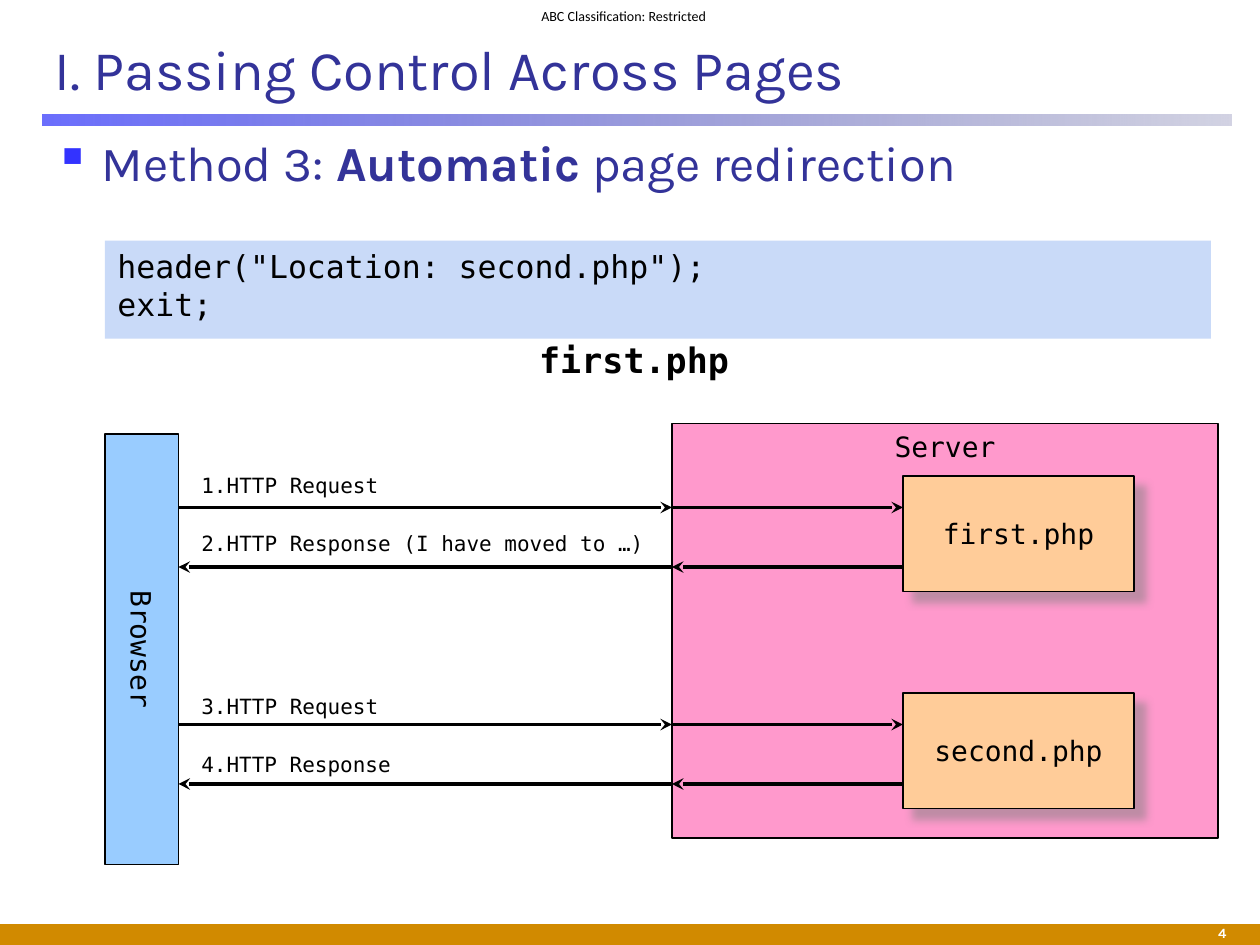
from typing import NamedTuple

from lxml import etree
from pptx import Presentation
from pptx.dml.color import RGBColor
from pptx.enum import shapes, text
from pptx.oxml import ns
from pptx.util import Pt

BLACK = RGBColor(0x00, 0x00, 0x00)
WHITE = RGBColor(0xFF, 0xFF, 0xFF)
NAVY = RGBColor(0x33, 0x33, 0x99)
OCHRE = RGBColor(0xD1, 0x8A, 0x00)
PINK = RGBColor(0xFF, 0x99, 0xCC)
PEACH = RGBColor(0xFF, 0xCC, 0x99)
SKY = RGBColor(0x99, 0xCC, 0xFF)
CODE_BLUE = RGBColor(0xC9, 0xDA, 0xF8)
RULE_START = RGBColor(0x46, 0x4A, 0xFC)
RULE_END = RGBColor(0x20, 0x22, 0x75)
BULLET_COLOR = "3333FF"

MONO, SANS, CALIBRI = "DejaVu Sans Mono", "Karla", "Calibri"
LEFT, CENTER, RIGHT = text.PP_ALIGN.LEFT, text.PP_ALIGN.CENTER, text.PP_ALIGN.RIGHT
TOP, MIDDLE, BOTTOM = text.MSO_ANCHOR.TOP, text.MSO_ANCHOR.MIDDLE, text.MSO_ANCHOR.BOTTOM
BROWSER_X, SERVER_X, PAGE_X = 102, 384, 516


class Box(NamedTuple):
    x: float
    y: float
    w: float
    h: float


class Style(NamedTuple):
    font: str
    size: float
    color: RGBColor = BLACK
    bold: bool = False
    align: text.PP_ALIGN = LEFT
    anchor: text.MSO_ANCHOR = TOP


class Message(NamedTuple):
    label: str
    label_y: float
    label_w: float
    line_y: float
    arrow_end: str


class Page(NamedTuple):
    name: str
    y: float


LABEL = Style(MONO, 12)
NODE = Style(MONO, 16, align=CENTER, anchor=MIDDLE)

MESSAGES = [
    Message("1.HTTP Request", 266.5, 120, 290, "tailEnd"),
    Message("2.HTTP Response (I have moved to …)", 299.5, 270, 324, "headEnd"),
    Message("3.HTTP Request", 392.5, 120, 414, "tailEnd"),
    Message("4.HTTP Response", 426, 144, 448, "headEnd"),
]
PAGES = [Page("first.php", 272), Page("second.php", 396)]


def child(parent, tag: str, **attrs):
    return etree.SubElement(parent, ns.qn(tag), attrs)


def write(tf, content: str, style: Style) -> None:
    tf.word_wrap = True
    tf.vertical_anchor = style.anchor
    tf.text = content
    for p in tf.paragraphs:
        p.alignment = style.align
        for r in p.runs:
            r.font.name = style.font
            r.font.size = Pt(style.size)
            r.font.bold = style.bold
            r.font.color.rgb = style.color


def add_text(s, box: Box, content: str, style: Style):
    tf = s.shapes.add_textbox(*map(Pt, box)).text_frame
    write(tf, content, style)
    return tf


def add_rect(s, box: Box, fill: RGBColor, outlined: bool = False):
    sp = s.shapes.add_shape(shapes.MSO_SHAPE.RECTANGLE, *map(Pt, box))
    sp.shadow.inherit = False
    sp.fill.solid()
    sp.fill.fore_color.rgb = fill
    if outlined:
        sp.line.color.rgb = BLACK
        sp.line.width = Pt(1)
    else:
        sp.line.fill.background()
    return sp


def add_node(s, box: Box, fill: RGBColor, name: str, style: Style = NODE):
    sp = add_rect(s, box, fill, outlined=True)
    write(sp.text_frame, name, style)
    return sp


def drop_shadow(sp) -> None:
    effects = sp._element.spPr.find(ns.qn("a:effectLst"))
    shadow = child(effects, "a:outerShdw", blurRad=str(Pt(5)), dist=str(Pt(8.5)),
                   dir=str(45 * 60000), algn="ctr", rotWithShape="0")
    child(child(shadow, "a:srgbClr", val="808080"), "a:alpha", val="50000")


def add_title_rule(s) -> None:
    """Bar under the title, fading from left to right."""
    sp = add_rect(s, Box(24.5, 65.5, 679, 6.5), RULE_START)
    sp.fill.gradient()
    sp.fill.gradient_angle = 0
    for stop, color in zip(sp.fill.gradient_stops, (RULE_START, RULE_END)):
        stop.color.rgb = color
    for clr, alpha in zip(sp._element.spPr.iter(ns.qn("a:srgbClr")), ("80000", "20000")):
        child(clr, "a:alpha", val=alpha)


def add_arrow(s, x1: float, x2: float, y: float, arrow_end: str) -> None:
    c = s.shapes.add_connector(shapes.MSO_CONNECTOR.STRAIGHT, Pt(x1), Pt(y), Pt(x2), Pt(y))
    c.line.color.rgb = BLACK
    c.line.width = Pt(2.25)
    child(c.line._get_or_add_ln(), f"a:{arrow_end}", type="stealth")
    child(c._element.spPr, "a:effectLst")


def add_bullet_line(s) -> None:
    tf = add_text(s, Box(24, 72, 678, 318), "", Style(SANS, 28, NAVY))
    p = tf.paragraphs[0]
    pPr = p._p.get_or_add_pPr()
    pPr.set("marL", str(Pt(27)))
    pPr.set("indent", str(Pt(-27)))
    child(child(pPr, "a:buClr"), "a:srgbClr", val=BULLET_COLOR)
    child(pPr, "a:buChar", char="▪")
    for content, bold in (("Method 3:", False), (" Automatic", True),
                          (" page redirection", False)):
        r = p.add_run()
        r.text = content
        r.font.name = SANS
        r.font.size = Pt(28)
        r.font.bold = bold
        r.font.color.rgb = NAVY


def add_frame(s) -> None:
    """Footer bar, classification, page number and title."""
    add_rect(s, Box(0, 528, 720, 12), OCHRE)
    add_title_rule(s)
    add_text(s, Box(301, 0, 118, 18), "ABC Classification: Restricted",
             Style(CALIBRI, 8, align=CENTER, anchor=MIDDLE)).margin_left = 0
    number = add_text(s, Box(606, 515, 102, 24), "4",
                      Style(SANS, 8, WHITE, bold=True, align=RIGHT, anchor=BOTTOM))
    number.margin_bottom = Pt(1)
    add_text(s, Box(24, 12, 678, 54), "I. Passing Control Across Pages",
             Style(SANS, 32, NAVY, anchor=MIDDLE))


def add_diagram(s) -> None:
    add_node(s, Box(SERVER_X, 242, 312, 237), PINK, "Server", NODE._replace(anchor=TOP))
    for page in PAGES:
        drop_shadow(add_node(s, Box(PAGE_X, page.y, 132, 66), PEACH, page.name))
    add_node(s, Box(-42, 350, 246, 42), SKY, "Browser").rotation = 90
    for m in MESSAGES:
        add_arrow(s, BROWSER_X, SERVER_X, m.line_y, m.arrow_end)
        add_arrow(s, SERVER_X, PAGE_X, m.line_y, m.arrow_end)
        add_text(s, Box(108, m.label_y, m.label_w, 21.5), m.label, LABEL)


def main() -> None:
    prs = Presentation()
    prs.slide_width, prs.slide_height = Pt(720), Pt(540)
    s = prs.slides.add_slide(prs.slide_layouts[6])
    add_frame(s)
    add_bullet_line(s)
    add_diagram(s)
    code = add_rect(s, Box(60, 137.5, 632, 56), CODE_BLUE)
    write(code.text_frame, 'header("Location: second.php");\nexit;', Style(MONO, 18))
    caption = add_text(s, Box(301, 190, 124, 32), "first.php", Style(MONO, 20, bold=True))
    caption.word_wrap = False
    prs.save("out.pptx")


if __name__ == "__main__":
    main()
